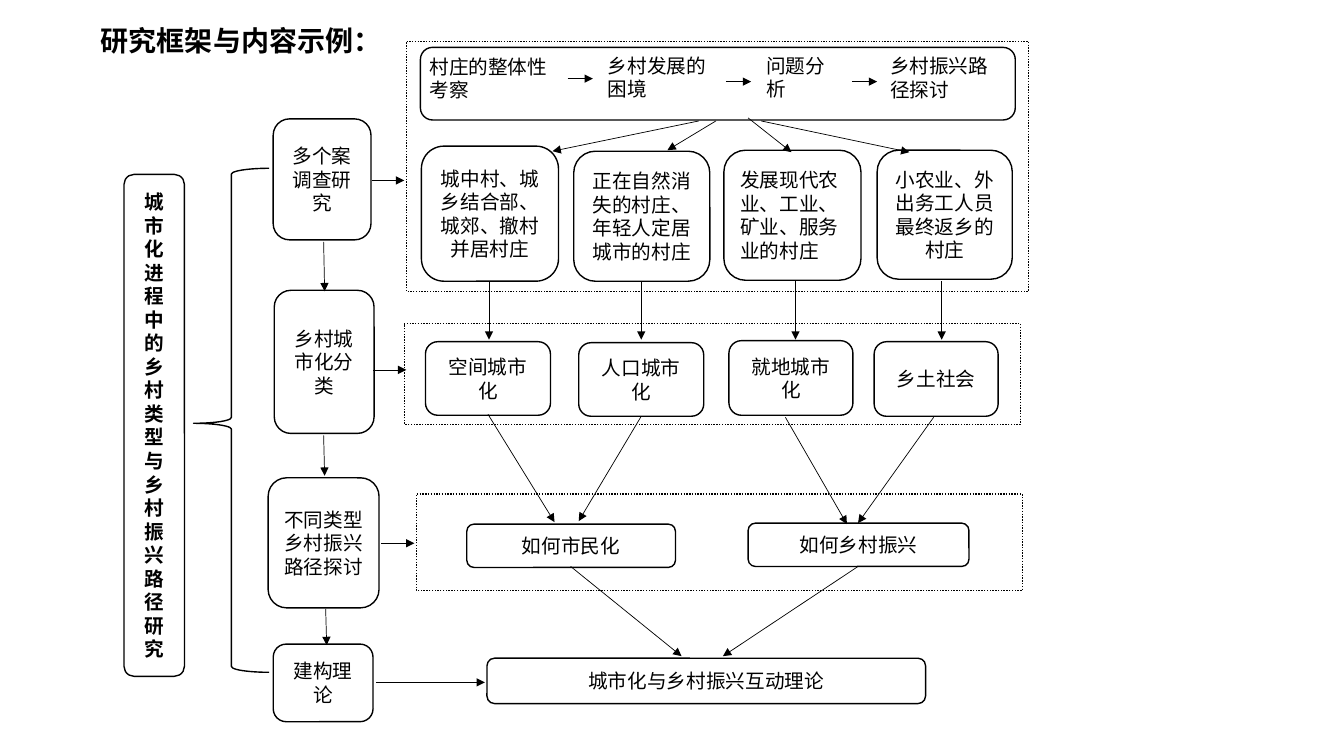
from lxml import etree
from pptx import Presentation
from pptx.dml.color import RGBColor
from pptx.enum.dml import MSO_LINE
from pptx.enum.shapes import MSO_CONNECTOR, MSO_SHAPE
from pptx.enum.text import MSO_ANCHOR, MSO_AUTO_SIZE, PP_ALIGN
from pptx.oxml.ns import qn
from pptx.util import Inches, Pt

BLACK = RGBColor(0x00, 0x00, 0x00)
WHITE = RGBColor(0xFF, 0xFF, 0xFF)
LEFT, CENTER = PP_ALIGN.LEFT, PP_ALIGN.CENTER
TOP, MIDDLE = MSO_ANCHOR.TOP, MSO_ANCHOR.MIDDLE
ROUNDED, RECTANGLE, BRACE = MSO_SHAPE.ROUNDED_RECTANGLE, MSO_SHAPE.RECTANGLE, MSO_SHAPE.LEFT_BRACE
DOTTED = MSO_LINE.ROUND_DOT
STRAIGHT = MSO_CONNECTOR.STRAIGHT
HEADING_FONT = "Noto Sans CJK SC"
BODY_FONT = "Times New Roman"


def write_text(box, text, size=14, font=BODY_FONT, bold=False, align=CENTER, anchor=MIDDLE):
    frame = box.text_frame
    frame.word_wrap = True
    frame.auto_size = MSO_AUTO_SIZE.NONE
    frame.vertical_anchor = anchor
    para = frame.paragraphs[0]
    para.alignment = align
    span = para.add_run()
    span.text = text
    span.font.size = Pt(size)
    span.font.name = font
    span.font.bold = bold
    span.font.color.rgb = BLACK
    east_asian = etree.SubElement(span.font._element, qn("a:ea"))
    east_asian.set("typeface", HEADING_FONT)
    return para


class FlowChart:
    """Draws the elements of the research framework on one page."""

    def __init__(self, page):
        self.page = page
        self.shapes = page.shapes

    def title(self, text, left, top, width, height):
        box = self.shapes.title
        box.left, box.top = Inches(left), Inches(top)
        box.width, box.height = Inches(width), Inches(height)
        para = write_text(box, text, size=20, font=HEADING_FONT, bold=True, align=LEFT, anchor=TOP)
        para.line_spacing = 0.9

    def outline(self, kind, left, top, width, height, color=BLACK, dash=None, fill=None):
        box = self.shapes.add_shape(kind, Inches(left), Inches(top), Inches(width), Inches(height))
        box.shadow.inherit = False
        if fill is None:
            box.fill.background()
        else:
            box.fill.solid()
            box.fill.fore_color.rgb = fill
        box.line.color.rgb = color
        box.line.width = Pt(1)
        if dash is not None:
            box.line.dash_style = dash
        return box

    def box(self, text, left, top, width, height, color=BLACK, fill=None, **text_format):
        box = self.outline(ROUNDED, left, top, width, height, color=color, fill=fill)
        write_text(box, text, **text_format)

    def brace(self, left, top, width, height):
        brace = self.outline(BRACE, left, top, width, height)
        brace.adjustments[0] = 0.077
        brace.adjustments[1] = 0.506

    def arrow(self, x1, y1, x2, y2):
        arrow = self.shapes.add_connector(STRAIGHT, Inches(x1), Inches(y1), Inches(x2), Inches(y2))
        arrow.line.color.rgb = BLACK
        arrow.line.width = Pt(0.5)
        head = etree.SubElement(arrow.line._get_or_add_ln(), qn("a:tailEnd"))
        head.set("type", "triangle")
        etree.SubElement(arrow._element.spPr, qn("a:effectLst"))


STAGES = [
    ("多个案调查研究", 2.71, 1.18, 0.97, 1.2),
    ("乡村城市化分类", 2.72, 2.88, 0.99, 1.42),
    ("不同类型乡村振兴路径探讨", 2.66, 4.74, 1.1, 1.29),
    ("建构理论", 2.71, 6.39, 0.99, 0.77),
]
CASE_STEPS = [
    ("村庄的整体性考察", 4.13, 0.46, 1.5, 0.63),
    ("乡村发展的困境", 5.9, 0.46, 1.28, 0.61),
    ("问题分析", 7.47, 0.46, 0.96, 0.61),
    ("乡村振兴路径探讨", 8.7, 0.46, 1.34, 0.62),
]
VILLAGES = [
    ("城中村、城乡结合部、城郊、撤村并居村庄", 4.18, 1.45, 1.36, 1.34, CENTER),
    ("正在自然消失的村庄、年轻人定居城市的村庄", 5.69, 1.5, 1.35, 1.29, CENTER),
    ("发展现代农业、工业、矿业、服务业的村庄", 7.18, 1.49, 1.36, 1.29, LEFT),
    ("小农业、外出务工人员最终返乡的村庄", 8.7, 1.49, 1.34, 1.28, CENTER),
]
URBAN_TYPES = [
    ("空间城市化", 4.22, 3.39, 1.24, 0.73),
    ("人口城市化", 5.74, 3.4, 1.24, 0.73),
    ("就地城市化", 7.23, 3.38, 1.23, 0.74),
    ("乡土社会", 8.67, 3.39, 1.23, 0.74),
]
OUTCOMES = [
    ("如何市民化", 4.63, 5.2, 2.07, 0.43),
    ("如何乡村振兴", 7.42, 5.19, 2.19, 0.43),
    ("城市化与乡村振兴互动理论", 4.83, 6.53, 4.35, 0.45),
]
DOTTED_FRAMES = [
    (4.03, 0.41, 6.17, 2.48),
    (4.01, 3.21, 6.11, 1),
    (4.13, 4.9, 6.01, 0.96),
]
STAGE_ARROWS = [
    (3.21, 2.4, 3.22, 2.89), (3.21, 4.32, 3.22, 4.72), (3.23, 6.04, 3.24, 6.4),
    (3.69, 1.79, 4.01, 1.79), (3.7, 3.67, 4.03, 3.67),
    (3.78, 5.39, 4.11, 5.39), (3.73, 6.77, 4.81, 6.77),
]
STEP_ARROWS = [(5.63, 0.78, 5.88, 0.78), (7.2, 0.81, 7.45, 0.81), (8.45, 0.81, 8.7, 0.81)]
VILLAGE_ARROWS = [
    (6.93, 1.2, 5.48, 1.5), (7.1, 1.2, 6.62, 1.49),
    (7.42, 1.17, 7.85, 1.51), (7.55, 1.2, 9.02, 1.51),
]
TYPE_ARROWS = [(x, 2.79, x, 3.37) for x in (4.85, 6.36, 7.89, 9.34)]
OUTCOME_ARROWS = [
    (4.84, 4.11, 5.5, 5.18), (6.36, 4.13, 5.74, 5.17),
    (7.79, 4.14, 8.4, 5.2), (9.26, 4.14, 8.51, 5.19),
    (5.66, 5.62, 6.76, 6.51), (8.51, 5.62, 7.17, 6.51),
]


def main():
    deck = Presentation()
    deck.slide_width, deck.slide_height = Inches(13.33), Inches(7.5)
    chart = FlowChart(deck.slides.add_slide(deck.slide_layouts[5]))

    chart.title("研究框架与内容示例：", 0.9, 0.22, 3.05, 0.45)
    chart.box("城市化进程中的乡村类型与乡村振兴路径研究", 1.23, 1.73, 0.6, 4.98,
              fill=WHITE, font=HEADING_FONT, bold=True)
    for text, *place in STAGES + URBAN_TYPES + OUTCOMES:
        chart.box(text, *place)
    for text, *place, align in VILLAGES:
        chart.box(text, *place, align=align)
    for text, *place in CASE_STEPS:
        chart.box(text, *place, color=WHITE, align=LEFT)

    for place in DOTTED_FRAMES:
        chart.outline(RECTANGLE, *place, dash=DOTTED)
    chart.outline(ROUNDED, 4.17, 0.47, 5.9, 0.72)
    chart.brace(1.92, 1.67, 0.75, 5)
    for ends in STAGE_ARROWS + STEP_ARROWS + VILLAGE_ARROWS + TYPE_ARROWS + OUTCOME_ARROWS:
        chart.arrow(*ends)

    deck.save("out.pptx")


if __name__ == "__main__":
    main()
